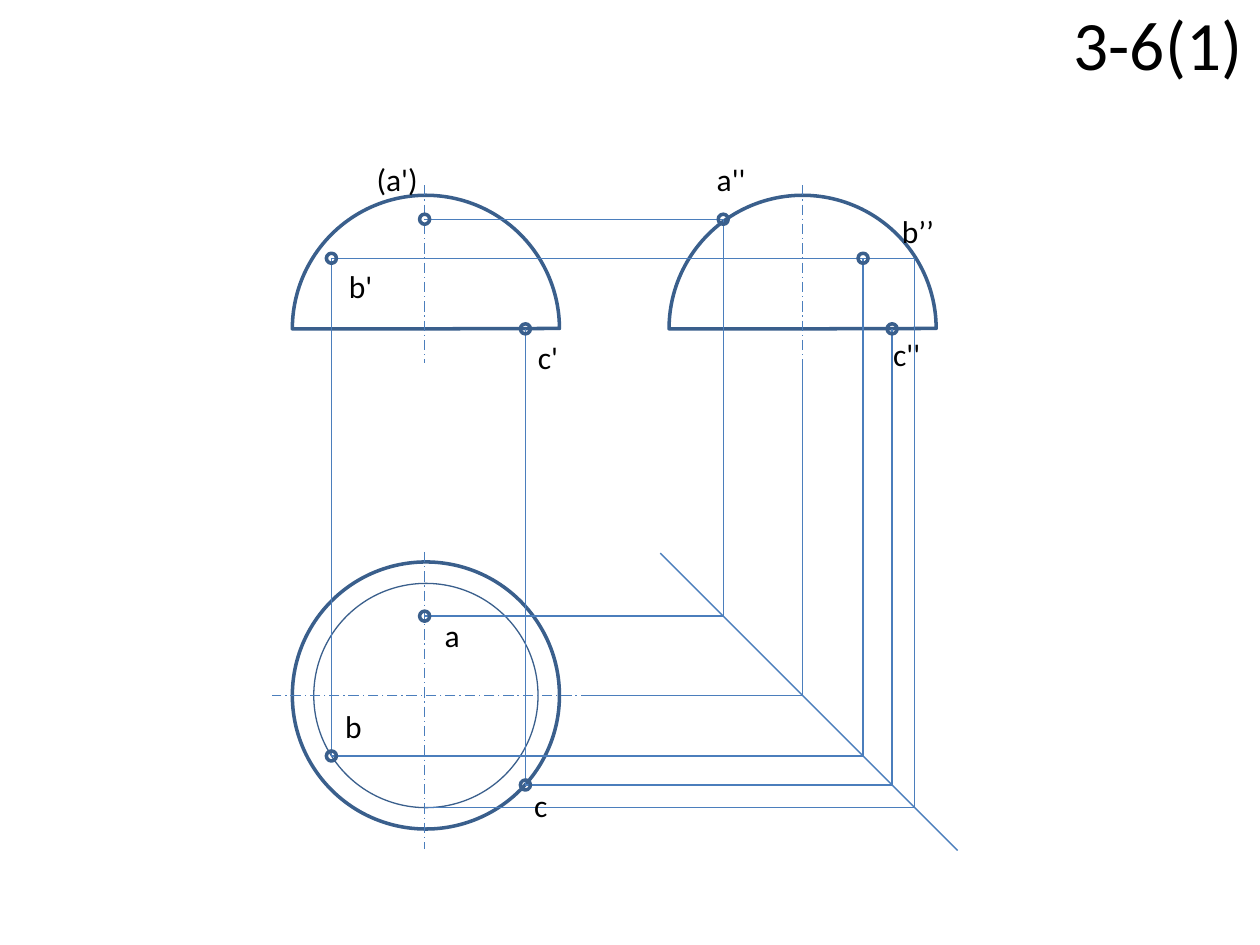
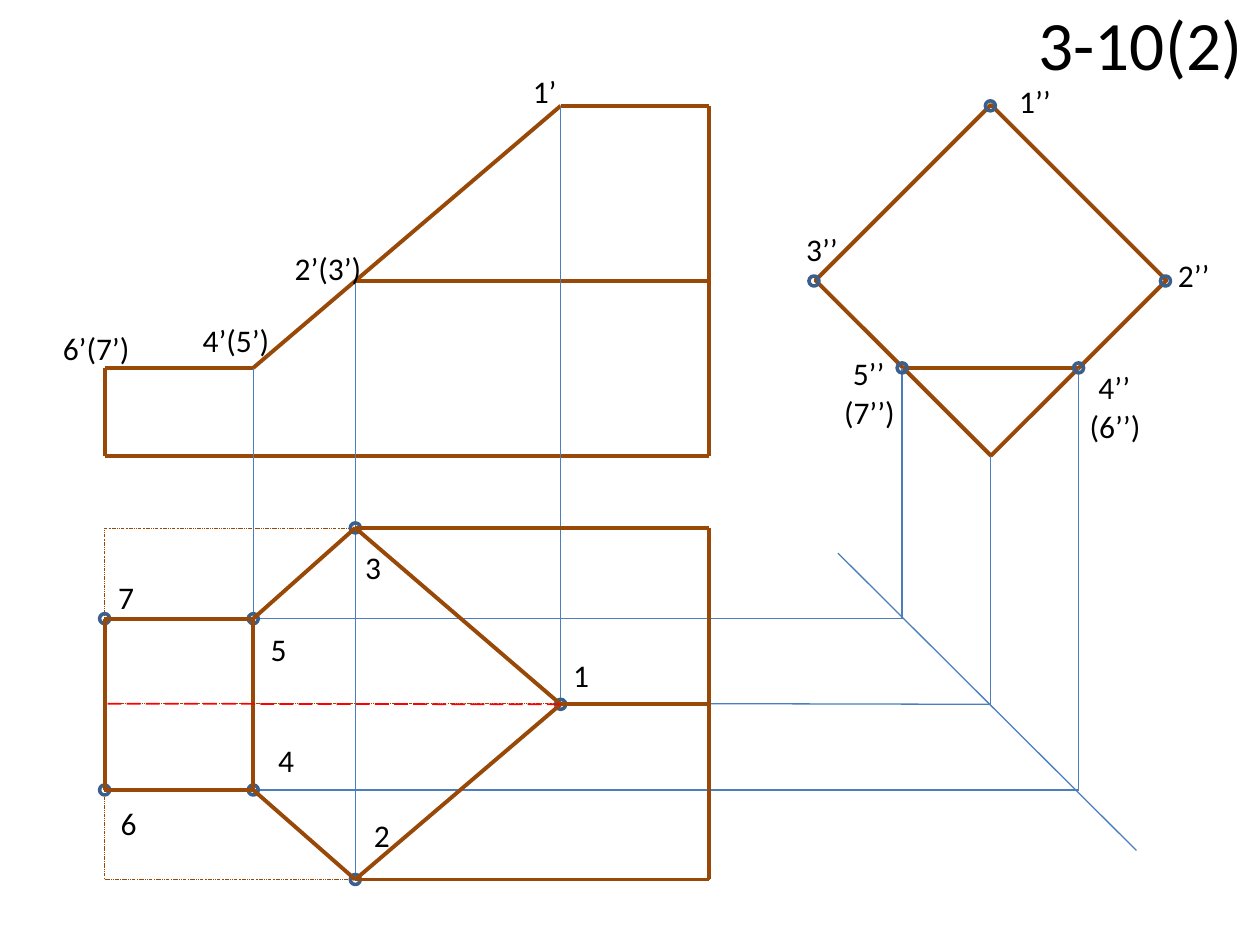
from pptx import Presentation, util as u
from pptx.dml.color import RGBColor
from pptx.enum import dml, shapes, text
from pptx.oxml.ns import qn

FONT = "Calibri"
DASH = dml.MSO_LINE
KIND = shapes.MSO_SHAPE
# Line styles: colour, width in points, dash
GUIDE = ("4B7EBC", 0.75, None)
AXIS = ("4B7EBC", 0.75, DASH.LONG_DASH_DOT)
CURVE = ("3A5F8C", 2, None)
THIN_CURVE = ("3A5F8C", 0.75, None)
EDGE = ("984807", 2.25, None)
CUT_AWAY = ("984807", 0.25, DASH.DASH_DOT_DOT)
HIDDEN = ("FF0000", 1, DASH.LONG_DASH)
DOT = 0.08
LABEL_HEIGHT = 0.4


def color(value):
    return RGBColor.from_string(value)


def inches(*values):
    return [u.Inches(v) for v in values]


def set_line(sp, style):
    hue, width, dash = style
    sp.line.color.rgb = color(hue)
    sp.line.width = u.Pt(width)
    if dash is not None:
        sp.line.dash_style = dash


def set_font(r, size):
    values = {"name": FONT, "size": u.Pt(size)}
    for name, value in values.items():
        setattr(r.font, name, value)
    r.font.color.rgb = color("000000")


def add_titled_slide(prs, heading):
    s = prs.slides.add_slide(prs.slide_layouts[5])
    sp = s.shapes.title
    box = zip(("left", "top", "width", "height"), inches(0.96, 0, 9, 0.68))
    for name, value in box:
        setattr(sp, name, value)
    tf = sp.text_frame
    tf.auto_size = text.MSO_AUTO_SIZE.NONE
    tf.vertical_anchor = text.MSO_ANCHOR.MIDDLE
    p = tf.paragraphs[0]
    p.alignment = text.PP_ALIGN.RIGHT
    r = p.add_run()
    r.text = heading
    set_font(r, 39.6)
    return s


def outline(s, kind, box, style):
    """Add an unfilled preset shape; box is left, top, width, height."""
    sp = s.shapes.add_shape(kind, *inches(*box))
    sp.shadow.inherit = False
    sp.fill.background()
    set_line(sp, style)
    return sp


def circle(s, center, radius, style):
    x, y = center
    return outline(s, KIND.OVAL, (x - radius, y - radius, 2 * radius, 2 * radius), style)


def half_dome(s, center, radius):
    x, y = center
    sp = outline(s, KIND.PIE, (x - radius, y - radius, 2 * radius, 2 * radius), CURVE)
    sp.adjustments[0], sp.adjustments[1] = 108, 215.9


def trace(s, style, *points):
    """Join successive points with straight connectors and return them."""
    lines = []
    for start, end in zip(points, points[1:]):
        cn = s.shapes.add_connector(shapes.MSO_CONNECTOR.STRAIGHT, *inches(*start, *end))
        set_line(cn, style)
        sp_pr = cn._element.spPr
        sp_pr.append(sp_pr.makeelement(qn("a:effectLst"), {}))
        lines.append(cn)
    return lines


def mark(s, *points):
    for point in points:
        circle(s, point, DOT / 2, CURVE)


def add_labels(s, labels):
    """Each label is wording, left, top, width."""
    for wording, left, top, width in labels:
        tb = s.shapes.add_textbox(*inches(left, top, width, LABEL_HEIGHT))
        tf = tb.text_frame
        tf.word_wrap = False
        tf.auto_size = text.MSO_AUTO_SIZE.SHAPE_TO_FIT_TEXT
        r = tf.paragraphs[0].add_run()
        r.text = wording
        set_font(r, 18)


def draw_hemisphere(prs):
    s = add_titled_slide(prs, "3-6(1)")
    # Columns of the front and top views
    left, b_x, axis_x, c_x, right = 2.16, 2.63, 3.37, 4.17, 4.69
    # Rows of the front and side views
    axis_top, a_z, b_z, base, axis_end = 1.47, 1.74, 2.05, 2.61, 2.88
    # Rows of the top view
    plan_top, a_y, center_y, b_y, c_y, ring_y, plan_end = (
        4.38, 4.89, 5.52, 6.0, 6.23, 6.41, 6.74)
    # The 45-degree line turns a top-view row into a side-view column
    a_side, side_x, b_side, c_side, ring_side = (
        y + 0.85 for y in (a_y, center_y, b_y, c_y, ring_y))
    radius = 1.06
    center = (3.38, center_y)

    circle(s, center, radius, CURVE)
    circle(s, center, 0.89, THIN_CURVE)
    for x in (center[0], side_x):
        half_dome(s, (x, base), radius)
    for x in (axis_x, side_x):
        trace(s, AXIS, (x, axis_top), (x, axis_end))
    trace(s, AXIS, (axis_x, plan_top), (axis_x, plan_end))
    trace(s, AXIS, (right, center_y), (left, center_y))

    trace(s, GUIDE, (5.24, 4.39), (7.6, 6.75))
    trace(s, GUIDE, (right, center_y), (side_x, center_y), (side_x, axis_end))
    trace(s, GUIDE, (axis_x, a_y), (a_side, a_y), (a_side, a_z), (axis_x, a_z))
    trace(s, GUIDE, (axis_x, ring_y), (ring_side, ring_y), (ring_side, b_z),
          (b_x, b_z), (b_x, b_y), (b_side, b_y), (b_side, b_z))
    trace(s, GUIDE, (c_x, base), (c_x, c_y), (c_side, c_y), (c_side, base))

    mark(s, (axis_x, a_y), (axis_x, a_z), (a_side, a_z),
         (b_x, b_y), (b_x, b_z), (b_side, b_z),
         (c_x, c_y), (c_x, base), (c_side, base))
    add_labels(s, [
        ("a", 3.43, 4.84, 0.32), ("(a')", 2.89, 1.22, 0.53), ("a''", 5.59, 1.22, 0.44),
        ("b", 2.64, 5.56, 0.34), ("b'", 2.67, 2.07, 0.39), ("b’’", 7.06, 1.63, 0.46),
        ("c", 4.14, 6.19, 0.31), ("c'", 4.17, 2.63, 0.36), ("c''", 6.99, 2.61, 0.44),
    ])


def draw_cut_prism(prs):
    s = add_titled_slide(prs, "3-10(2)")
    # Columns of the front and top views
    left, step_x, mid_x, ridge_x, right = 0.83, 2.01, 2.82, 4.45, 5.63
    # Rows of the front and side views
    top, mid_z, step_z, base = 0.84, 2.23, 2.92, 3.62
    # Rows of the top view
    back, step_back, center_y, step_front, front = 4.19, 4.91, 5.59, 6.27, 6.98
    # Columns of the side view
    p3_side, p5_side, side_x, p4_side, p2_side = 6.46, 7.16, 7.86, 8.56, 9.25

    diamond = outline(s, KIND.RECTANGLE, (6.88, 1.24, 1.97, 1.97), EDGE)
    diamond.rotation = 45
    trace(s, EDGE, (p5_side, step_z), (p4_side, step_z))
    trace(s, EDGE, (left, base), (left, step_z), (step_x, step_z), (ridge_x, top),
          (right, top), (right, base), (left, base))
    trace(s, EDGE, (mid_x, mid_z), (right, mid_z))

    plan = outline(s, KIND.RECTANGLE, (left, back, right - left, front - back), CUT_AWAY)
    plan_axis, = trace(s, CUT_AWAY, (right, center_y), (left, center_y))
    plan_axis.begin_connect(plan, 3)
    plan_axis.end_connect(plan, 1)

    trace(s, GUIDE, (6.65, 4.39), (9.02, 6.75))
    axis_guide, _ = trace(s, GUIDE, (right, center_y), (side_x, center_y), (side_x, base))
    axis_guide.begin_connect(plan, 3)
    trace(s, GUIDE, (ridge_x, top), (ridge_x, center_y))
    trace(s, GUIDE, (mid_x, mid_z), (mid_x, front))
    trace(s, GUIDE, (step_x, step_z), (step_x, step_front))
    for x, y in ((p5_side, step_back), (p4_side, step_front)):
        trace(s, GUIDE, (x, step_z), (x, y), (left, y))

    mark(s, (ridge_x, center_y), (mid_x, back), (mid_x, front),
         (step_x, step_back), (step_x, step_front), (left, step_back), (left, step_front),
         (side_x, top), (p3_side, mid_z), (p2_side, mid_z),
         (p5_side, step_z), (p4_side, step_z))
    add_labels(s, [
        ("1’", 4.13, 0.52, 0.39), ("2’(3’)", 2.24, 1.93, 0.74),
        ("4’(5’)", 1.51, 2.5, 0.74), ("6’(7’)", 0.4, 2.56, 0.74),
        ("1’’", 7.99, 0.6, 0.46), ("2’’", 9.25, 1.98, 0.46), ("3’’", 6.3, 1.78, 0.46),
        ("4’’", 8.62, 2.87, 0.46), ("5’’", 6.67, 2.76, 0.46),
        ("(6’’)", 8.55, 3.18, 0.61), ("(7’’)", 6.6, 3.07, 0.61),
        ("1", 4.45, 5.16, 0.33), ("2", 2.87, 6.43, 0.33), ("3", 2.8, 4.3, 0.33),
        ("4", 2.11, 5.83, 0.33), ("5", 2.05, 4.95, 0.33),
        ("6", 0.86, 6.33, 0.33), ("7", 0.84, 4.54, 0.33),
    ])

    trace(s, EDGE, (right, back), (mid_x, back), (step_x, step_back), (left, step_back),
          (left, step_front), (step_x, step_front), (mid_x, front), (right, front),
          (right, back))
    trace(s, EDGE, (mid_x, back), (ridge_x, center_y), (mid_x, front))
    trace(s, EDGE, (step_x, step_back), (step_x, step_front))
    trace(s, EDGE, (ridge_x, center_y), (right, center_y))
    hidden_ridge, = trace(s, HIDDEN, (ridge_x, center_y), (left, center_y))
    hidden_ridge.end_connect(plan, 1)


def main():
    prs = Presentation()
    prs.slide_width, prs.slide_height = inches(10, 7.5)
    draw_hemisphere(prs)
    draw_cut_prism(prs)
    prs.save("out.pptx")


if __name__ == "__main__":
    main()
